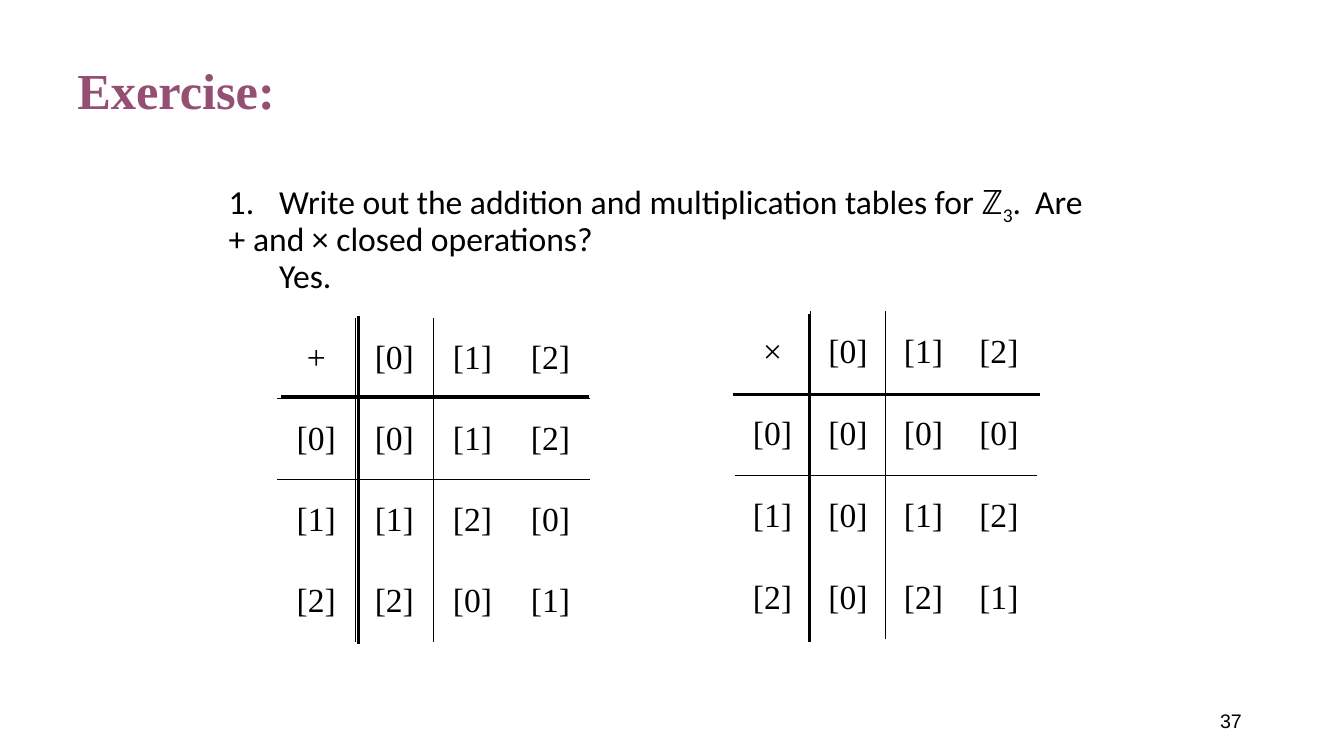
import pptx
import pptx.dml.color
import pptx.enum.shapes
import pptx.enum.text
import pptx.oxml.ns
import pptx.util
from lxml import etree

Pt = pptx.util.Pt
qn = pptx.oxml.ns.qn
Align = pptx.enum.text.PP_ALIGN
Anchor = pptx.enum.text.MSO_ANCHOR

BLACK = pptx.dml.color.RGBColor(0x00, 0x00, 0x00)
PLUM = pptx.dml.color.RGBColor(0x95, 0x4F, 0x72)
NO_STYLE = "{2D5ABB26-0587-4C30-8999-92F81FD0307C}"
MODULUS = 3


def place(shape, left, top, width, height):
    """Move and size a shape, in points."""
    shape.left, shape.top = Pt(left), Pt(top)
    shape.width, shape.height = Pt(width), Pt(height)


def style(paragraph, font_name, size, color=BLACK, bold=False):
    """Set the font of a whole paragraph."""
    font = paragraph.font
    font.name, font.size, font.bold = font_name, Pt(size), bold
    font.color.rgb = color


def add_title(page, text):
    """Fill the title placeholder."""
    title = page.shapes.title
    place(title, 48, 21.6, 864, 90)
    title.text_frame.vertical_anchor = Anchor.MIDDLE
    para = title.text_frame.paragraphs[0]
    para.text = text
    para.alignment = Align.LEFT
    para.line_spacing = 0.9
    style(para, "Times New Roman", 36, PLUM, True)


def add_question(page, paragraphs):
    """Fill the body placeholder with paragraphs of (text, is_subscript) spans."""
    body = page.placeholders[1]
    place(body, 156.2, 126, 638, 356.4)
    frame = body.text_frame
    for index, spans in enumerate(paragraphs):
        para = frame.add_paragraph() if index else frame.paragraphs[0]
        para.line_spacing = 0.9
        para.space_before = Pt(0)
        properties = para._p.get_or_add_pPr()
        properties.set("marL", "0")
        properties.set("indent", "0")
        etree.SubElement(properties, qn("a:buNone"))
        stops = etree.SubElement(properties, qn("a:tabLst"))
        for position in (54, 594):
            etree.SubElement(stops, qn("a:tab"), pos=str(Pt(position)), algn="l")
        style(para, "Calibri", 24)
        for text, is_subscript in spans:
            span = para.add_run()
            span.text = text
            if is_subscript:
                span.font._element.set("baseline", "-25000")


def add_border(cell, side):
    """Draw a thin black border on one side of a cell."""
    line = etree.SubElement(cell._tc.get_or_add_tcPr(), qn("a:ln" + side), w=str(Pt(1)))
    fill = etree.SubElement(line, qn("a:solidFill"))
    etree.SubElement(fill, qn("a:srgbClr"), val=str(BLACK))


def fill_cell(cell, text, sides):
    """Write one centred table entry with the given borders."""
    cell.vertical_anchor = Anchor.MIDDLE
    para = cell.text_frame.paragraphs[0]
    para.text = text
    para.alignment = Align.CENTER
    style(para, "Times New Roman", 24)
    for side in sides:
        add_border(cell, side)
    cell.fill.background()


def add_operation_table(page, symbol, operate, left, top, column_width, row_height):
    """Add the table of an operation on residue classes."""
    count = MODULUS + 1
    frame = page.shapes.add_table(count, count, Pt(left), Pt(top),
                                  Pt(count * column_width), Pt(count * row_height))
    table = frame.table
    table.first_row = table.horz_banding = False
    next(frame._element.iter(qn("a:tableStyleId"))).text = NO_STYLE
    classes = range(MODULUS)
    grid = [[symbol] + [f"[{value}]" for value in classes]]
    for first in classes:
        results = [operate(first, second) % MODULUS for second in classes]
        grid.append([f"[{value}]" for value in [first] + results])
    for row, texts in enumerate(grid):
        table.rows[row].height = Pt(row_height)
        for column, text in enumerate(texts):
            sides = {0: ["R"], 1: ["L"]}.get(column, []) + {0: ["B"], 1: ["T"]}.get(row, [])
            fill_cell(table.cell(row, column), text, sides)
    for column in table.columns:
        column.width = Pt(column_width)


def add_cross(page, left, top, center_x, center_y, width, height):
    """Add a group of two thick lines that cross at the given centre."""
    group = page.shapes.add_group_shape()
    ends = [(left, center_y, left + width, center_y),
            (center_x, top, center_x, top + height)]
    for points in ends:
        line = group.shapes.add_connector(pptx.enum.shapes.MSO_CONNECTOR.STRAIGHT,
                                          *[Pt(value) for value in points])
        line.line.color.rgb = BLACK
        line.line.width = Pt(2.25)
        etree.SubElement(line._element.spPr, qn("a:effectLst"))


def add_page_number(page, number):
    """Add the page number at the lower right."""
    box = page.shapes.add_textbox(Pt(678.2), Pt(500.4), Pt(216), Pt(28.8))
    box.text_frame.word_wrap = True
    box.text_frame.vertical_anchor = Anchor.MIDDLE
    para = box.text_frame.paragraphs[0]
    para.text = number
    para.alignment = Align.RIGHT
    style(para, "Arial", 14)


def main():
    """Build the exercise slide and save it."""
    deck = pptx.Presentation()
    deck.slide_width, deck.slide_height = Pt(960), Pt(540)
    page = deck.slides.add_slide(deck.slide_layouts[1])
    add_page_number(page, "37")
    add_title(page, "Exercise:")
    add_question(page, [
        [("1.\tWrite out the addition and multiplication tables for ℤ", False),
         ("3", True),
         (". \tAre + and × closed operations?", False)],
        [("\tYes.", False)],
    ])
    add_operation_table(page, "+", lambda a, b: a + b, 198, 226.8, 55.8, 57.9)
    add_cross(page, 201, 225.6, 256.3, 283, 219.6, 234.4)
    add_operation_table(page, "×", lambda a, b: a * b, 524.9, 222.5, 53.9, 58.5)
    add_cross(page, 523.4, 224.6, 578.2, 281.5, 219.6, 234)
    deck.save("out.pptx")


main()
